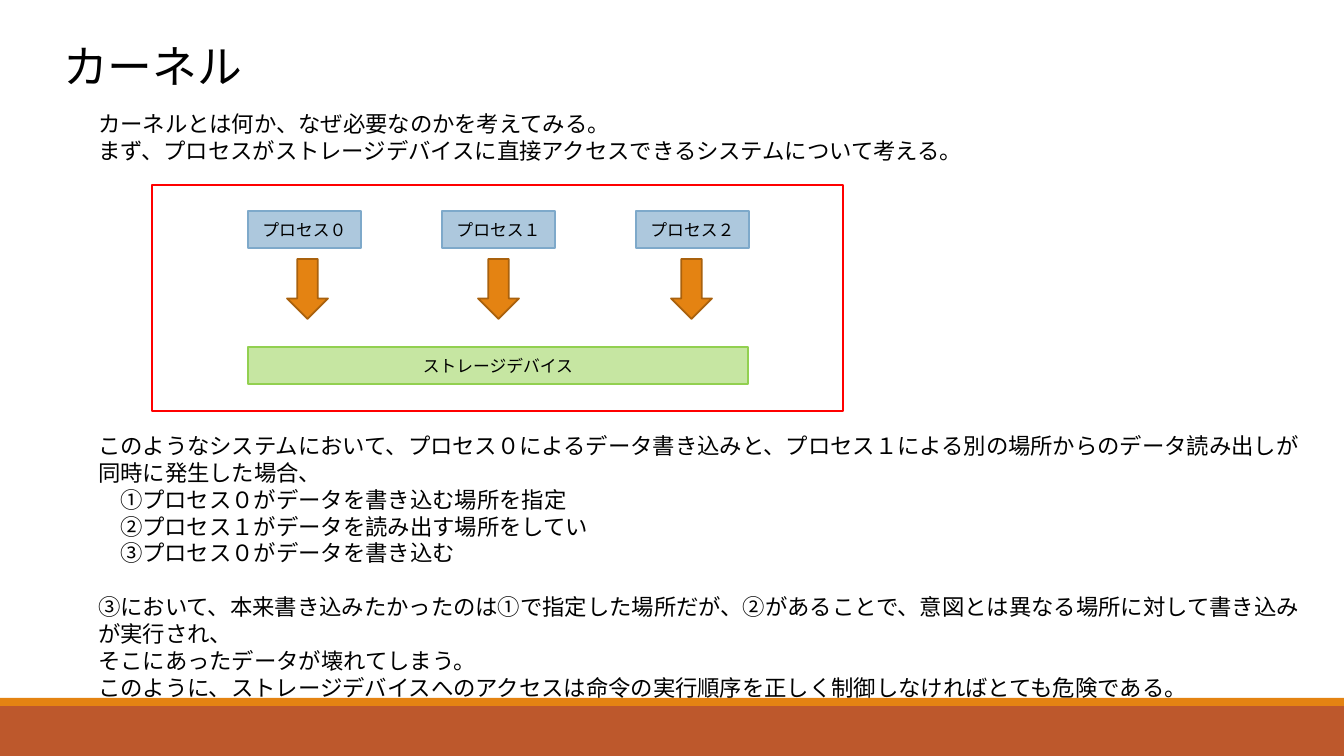
from dataclasses import dataclass

from lxml import etree
from pptx import Presentation
from pptx import util as u
from pptx.dml.color import RGBColor
from pptx.enum import shapes, text
from pptx.oxml.ns import qn

EMU_PER_PIXEL = 914400 / 100.8
PAGE_WIDTH, PAGE_HEIGHT = 1344, 756
FONT = "Noto Sans CJK JP"
LINE_HEIGHT = 1.2
COLOURS = {
    "text": "000000",
    "footer": "BD582C",
    "orange": "E48312",
    "arrow_line": "A9610D",
    "frame": "FF0000",
    "process": "ADC8DD",
    "process_line": "7EA9CA",
    "storage": "C6E6A2",
    "storage_line": "92D050",
}


@dataclass(frozen=True)
class Area:
    """A rectangle in pixels."""
    left: int
    top: int
    width: int
    height: int


@dataclass(frozen=True)
class Line:
    """One paragraph with its indent in pixels and blank lines above it."""
    words: str
    indent: int = 0
    gap: int = 0


@dataclass(frozen=True)
class Process:
    """A process box and the arrow below it."""
    label: str
    left: int
    arrow_left: int


TITLE = [Line("カーネル")]
INTRO = [
    Line("カーネルとは何か、なぜ必要なのかを考えてみる。"),
    Line("まず、プロセスがストレージデバイスに直接アクセスできるシステムについて考える。"),
]
EXPLANATION = [
    Line("このようなシステムにおいて、プロセス０によるデータ書き込みと、"
         "プロセス１による別の場所からのデータ読み出しが同時に発生した場合、"),
    Line("①プロセス０がデータを書き込む場所を指定", indent=22),
    Line("②プロセス１がデータを読み出す場所をしてい", indent=22),
    Line("③プロセス０がデータを書き込む", indent=22),
    Line("③において、本来書き込みたかったのは①で指定した場所だが、"
         "②があることで、意図とは異なる場所に対して書き込みが実行され、", gap=1),
    Line("そこにあったデータが壊れてしまう。"),
    Line("このように、ストレージデバイスへのアクセスは命令の実行順序を"
         "正しく制御しなければとても危険である。"),
]
PROCESS_STEP = 194
PROCESSES = [
    Process(f"プロセス{digit}", 248 + PROCESS_STEP * number, arrow_left)
    for number, (digit, arrow_left) in enumerate(zip("０１２", (287, 478, 671)))
]


def px(pixels: float) -> u.Emu:
    """Turn pixels into EMU."""
    return u.Emu(round(pixels * EMU_PER_PIXEL))


def colour(name: str) -> RGBColor:
    """Look up a named colour."""
    return RGBColor.from_string(COLOURS[name])


def write(box, lines: list[Line], *, size: int,
          align=text.PP_ALIGN.LEFT, anchor=text.MSO_ANCHOR.TOP) -> None:
    """Fill a shape with formatted paragraphs."""
    frame = box.text_frame
    frame.word_wrap = True
    frame.auto_size = text.MSO_AUTO_SIZE.NONE
    frame.vertical_anchor = anchor
    frame.margin_left = frame.margin_right = u.Inches(0.1)
    frame.margin_top = frame.margin_bottom = u.Inches(0.05)
    for number, line in enumerate(lines):
        para = frame.add_paragraph() if number else frame.paragraphs[0]
        para.alignment = align
        para.line_spacing = u.Pt(size * LINE_HEIGHT)
        para.space_before = u.Pt(size * LINE_HEIGHT * line.gap)
        para.space_after = u.Pt(0)
        properties = para._p.get_or_add_pPr()
        properties.set("marL", str(px(line.indent)))
        properties.set("indent", "0")
        etree.SubElement(properties, qn("a:buNone"))
        span = para.add_run()
        span.text = line.words
        span.font.size = u.Pt(size)
        span.font.color.rgb = colour("text")
        span.font.name = FONT
        east_asian = etree.SubElement(span._r.get_or_add_rPr(), qn("a:ea"))
        east_asian.set("typeface", FONT)


def place(box, area: Area) -> None:
    """Move and size a shape."""
    box.left, box.top = px(area.left), px(area.top)
    box.width, box.height = px(area.width), px(area.height)


def draw(page, area: Area, *, fill: str = "", line: str = "", label: str = "",
         kind=shapes.MSO_SHAPE.RECTANGLE):
    """Draw a preset shape with an optional fill, outline and label."""
    box = page.shapes.add_shape(kind, 0, 0, 0, 0)
    place(box, area)
    box.shadow.inherit = False
    if fill:
        box.fill.solid()
        box.fill.fore_color.rgb = colour(fill)
    else:
        box.fill.background()
    if line:
        box.line.color.rgb = colour(line)
        box.line.width = u.Pt(1.25)
    else:
        box.line.fill.background()
    if label:
        write(box, [Line(label)], size=12, align=text.PP_ALIGN.CENTER,
              anchor=text.MSO_ANCHOR.MIDDLE)
    return box


def draw_footer(page) -> None:
    """Draw the two bottom bars behind everything else."""
    for area, fill in ((Area(0, 698, PAGE_WIDTH, 8), "orange"),
                       (Area(0, 706, PAGE_WIDTH, 50), "footer")):
        bar = draw(page, area, fill=fill)
        page.shapes._spTree.insert(2, bar._element)


def draw_diagram(page) -> None:
    """Draw the processes that reach the storage device directly."""
    draw(page, Area(152, 185, 691, 226), line="frame")
    for process in PROCESSES:
        draw(page, Area(process.left, 211, 113, 37), fill="process",
             line="process_line", label=process.label)
        draw(page, Area(process.arrow_left, 259, 41, 60), fill="orange",
             line="arrow_line", kind=shapes.MSO_SHAPE.DOWN_ARROW)
    draw(page, Area(248, 347, 500, 37), fill="storage",
         line="storage_line", label="ストレージデバイス")


def build() -> None:
    """Build and save the deck."""
    deck = Presentation()
    deck.slide_width, deck.slide_height = px(PAGE_WIDTH), px(PAGE_HEIGHT)
    two_content = deck.slide_layouts[3]
    page = deck.slides.add_slide(two_content)
    title, intro, explanation = page.placeholders
    for box, area, lines, size in (
        (title, Area(53, 34, 483, 65), TITLE, 32),
        (intro, Area(88, 105, 1045, 65), INTRO, 16),
        (explanation, Area(88, 427, 1240, 280), EXPLANATION, 16),
    ):
        place(box, area)
        write(box, lines, size=size)
    draw_footer(page)
    draw_diagram(page)
    deck.save("out.pptx")


build()
